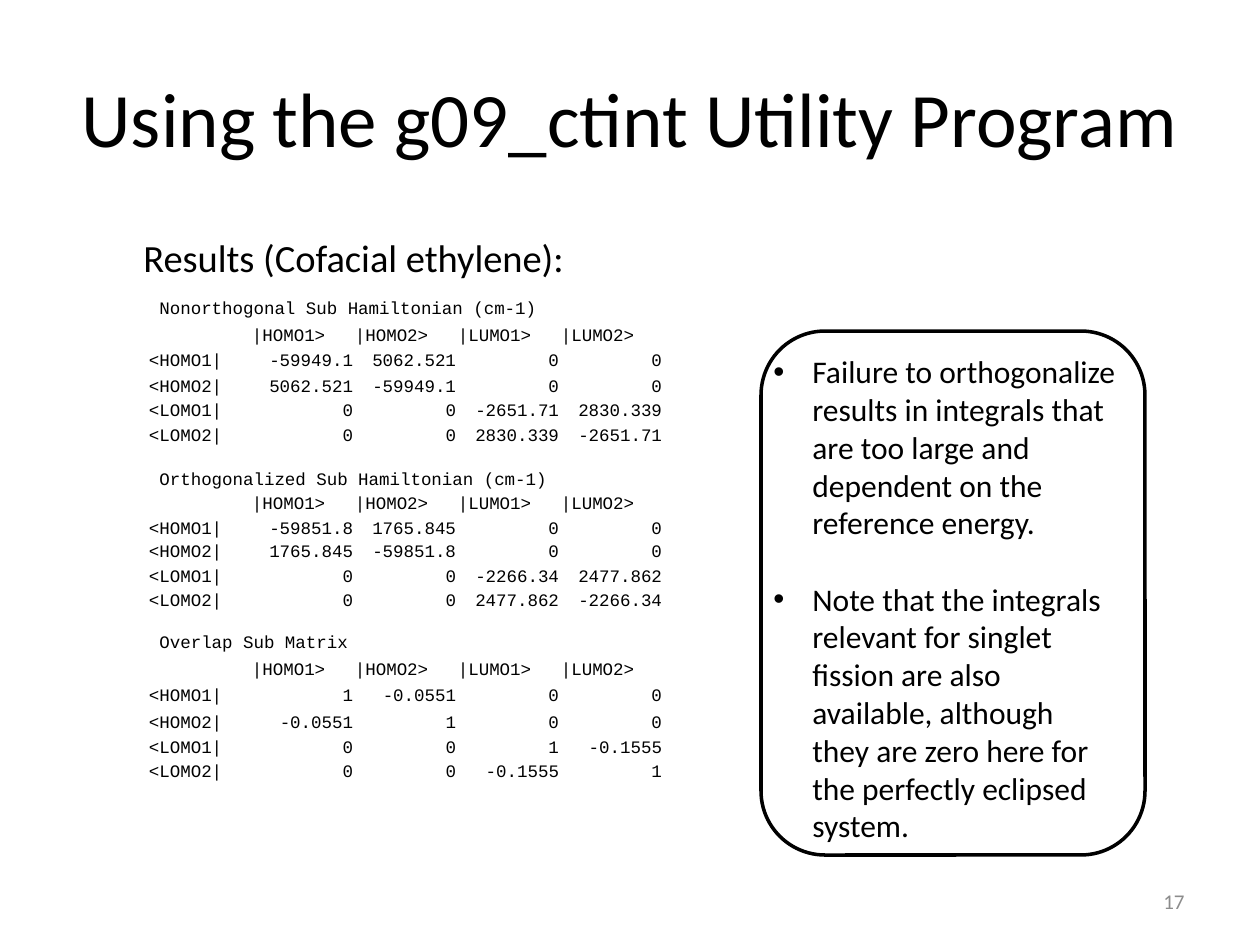
import dataclasses

import lxml.etree
import pptx
import pptx.dml.color
import pptx.enum.shapes
import pptx.enum.text
import pptx.oxml.ns
import pptx.util

SCALE = 914400 / 126
ALIGN = pptx.enum.text.PP_ALIGN
ANCHOR = pptx.enum.text.MSO_ANCHOR


@dataclasses.dataclass(frozen=True)
class Theme:
    ink: str = "000000"
    dim: str = "8C8C8C"
    sans: str = "Calibri"
    mono: str = "Courier New"
    title: int = 44
    head: int = 22
    note: int = 18
    page: int = 12
    cell: int = 10
    line: int = 2


THEME = Theme()
COLS = ("|HOMO1>", "|HOMO2>", "|LUMO1>", "|LUMO2>")
ROWS = ("<HOMO1|", "<HOMO2|", "<LOMO1|", "<LOMO2|")
BLOCKS = (
    (" Nonorthogonal Sub Hamiltonian (cm-1)", 4,
     ("-59949.1", "5062.521", "-2651.71", "2830.339"),
     (33, 27, 25, 26, 24, 25)),
    (" Orthogonalized Sub Hamiltonian (cm-1)", 4,
     ("-59851.8", "1765.845", "-2266.34", "2477.862"),
     (44, 24, 25, 23, 25, 24)),
    (" Overlap Sub Matrix", 2,
     ("1", "-0.0551", "1", "-0.1555"),
     (42, 27, 26, 27, 25, 24)),
)
NOTES = (
    "Failure to orthogonalize results in integrals that are too large "
    "and dependent on the reference energy.",
    "Note that the integrals relevant for singlet fission are also available, "
    "although they are zero here for the perfectly eclipsed system.",
)


def px(num):
    return pptx.util.Emu(round(num * SCALE))


def frame(box):
    return [px(num) for num in box]


def put(item, vals):
    for key, val in vals.items():
        setattr(item, key, val)


def write(para, text, size, font=THEME.sans, tint=THEME.ink, align=ALIGN.LEFT):
    para.alignment = align
    run = para.add_run()
    run.text = text
    put(run.font, {"size": pptx.util.Pt(size), "name": font, "bold": False})
    run.font.color.rgb = pptx.dml.color.RGBColor.from_string(tint)


def add_title(slide, box, text):
    title = slide.shapes.title
    put(title, dict(zip(("left", "top", "width", "height"), frame(box))))
    put(title.text_frame, {"vertical_anchor": ANCHOR.MIDDLE, "word_wrap": True})
    write(title.text_frame.paragraphs[0], text, THEME.title, align=ALIGN.CENTER)


def add_label(slide, box, text, size, anchor=ANCHOR.TOP, **look):
    body = slide.shapes.add_textbox(*frame(box)).text_frame
    put(body, {"word_wrap": True, "vertical_anchor": anchor})
    write(body.paragraphs[0], text, size, **look)


def block_rows(name, vals):
    a, b, c, d = vals
    grid = ((a, b, "0", "0"), (b, a, "0", "0"),
            ("0", "0", c, d), ("0", "0", d, c))
    yield (name, "", "", "", "")
    yield ("", *COLS)
    for label, nums in zip(ROWS, grid):
        yield (label, *nums)


def fill_cell(cell, text, align):
    put(cell, {"margin_left": px(1), "margin_right": px(1), "margin_top": px(1),
               "margin_bottom": 0, "vertical_anchor": ANCHOR.BOTTOM})
    cell.fill.background()
    para = cell.text_frame.paragraphs[0]
    if text:
        write(para, text, THEME.cell, THEME.mono, align=align)
    else:
        lxml.etree.SubElement(para._p, pptx.oxml.ns.qn("a:endParaRPr"),
                              sz=str(THEME.cell * 100))


def add_matrix(slide, box):
    deep = [size for block in BLOCKS for size in block[3]]
    wide = len(COLS) + 1
    table = slide.shapes.add_table(len(deep), wide, *frame(box)).table
    put(table, {"first_row": False, "horz_banding": False})
    for col in table.columns:
        col.width = px(box[2] / wide)
    for row, size in zip(table.rows, deep):
        row.height = px(size)
    top = 0
    for name, span, vals, sizes in BLOCKS:
        for i, line in enumerate(block_rows(name, vals)):
            for j, text in enumerate(line):
                align = ALIGN.RIGHT if i > 1 and j else ALIGN.LEFT
                fill_cell(table.cell(top + i, j), text, align)
        table.cell(top, 0).merge(table.cell(top, span - 1))
        top += len(sizes)


def add_notes(slide, box):
    x, y, w, h = box
    group = slide.shapes.add_group_shape()
    kind = pptx.enum.shapes.MSO_SHAPE.ROUNDED_RECTANGLE
    card = group.shapes.add_shape(kind, *frame(box))
    card.shadow.inherit = False
    card.fill.background()
    card.line.color.rgb = pptx.dml.color.RGBColor.from_string(THEME.ink)
    card.line.width = pptx.util.Pt(THEME.line)
    body = group.shapes.add_textbox(*frame((x, y + 15, w - 15, h - 15))).text_frame
    body.word_wrap = True
    for i, text in enumerate(NOTES):
        para = body.add_paragraph() if i else body.paragraphs[0]
        write(para, text, THEME.note)
        if i:
            para.space_before = pptx.util.Pt(22)
        props = para._p.get_or_add_pPr()
        for key, val in {"marL": px(39), "indent": px(-39)}.items():
            props.set(key, str(val))
        for tag, attrs in (("a:buFont", {"typeface": "Arial"}),
                           ("a:buChar", {"char": "•"})):
            lxml.etree.SubElement(props, pptx.oxml.ns.qn(tag), attrs)


def main():
    deck = pptx.Presentation()
    put(deck, {"slide_width": px(1260), "slide_height": px(945)})
    slide = deck.slides.add_slide(deck.slide_layouts[5])
    add_title(slide, (63, 38, 1134, 158), "Using the g09_ctint Utility Program")
    add_label(slide, (876 + 27, 876, 294, 50), "17", THEME.page,
              ANCHOR.MIDDLE, tint=THEME.dim, align=ALIGN.RIGHT)
    add_label(slide, (131, 228, 464, 59), "Results (Cofacial ethylene):", THEME.head)
    add_matrix(slide, (148, 287, 515, 496))
    add_notes(slide, (761, 331, 384, 524))
    deck.save("out.pptx")


if __name__ == "__main__":
    main()
